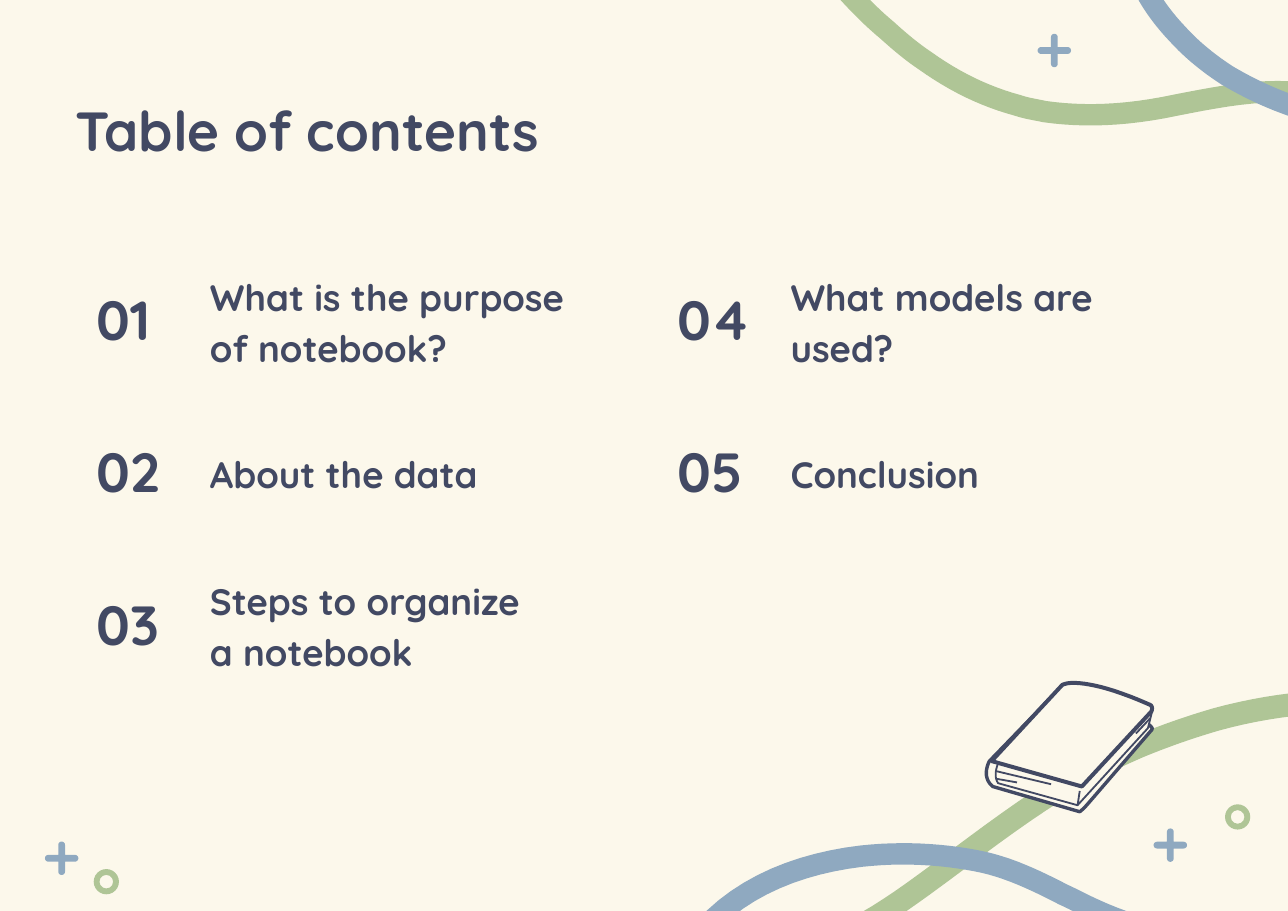
from math import cos, hypot, pi, sin, sqrt

from lxml.etree import SubElement
from pptx import Presentation
from pptx.dml.color import RGBColor
from pptx.enum.shapes import MSO_CONNECTOR, MSO_SHAPE
from pptx.enum.text import MSO_ANCHOR
from pptx.oxml.ns import qn
from pptx.util import Pt

CREAM, NAVY, GREEN, BLUE = "FCF8EB", "424963", "AFC596", "8FA9C0"
FONT = "Quicksand"
STEPS = 12

# Lower edge of each ribbon: a start point, then cubic segments.
RIBBONS = [
    (GREEN, 15, [
        (448, 618.5), (465, 631, 487.5, 632, 503.5, 631.5),
        (512, 630.7, 520.5, 629.3, 529, 627),
        (563.8, 617.8, 594, 594.7, 621.4, 574.6),
        (664.6, 542.2, 702, 514.1, 745.9, 495.4),
        (763.2, 488.2, 779.8, 482.4, 797, 477.4),
        (828.7, 468.7, 861.1, 465.1, 892.1, 465.8)]),
    (GREEN, 14, [
        (537.8, -13), (550.1, 1.4, 562.3, 14.4, 575.3, 25.2),
        (583.2, 32.4, 591.8, 39.6, 600.5, 45.4),
        (620.6, 59.8, 641.5, 69.8, 663.1, 75.6),
        (669.6, 77.8, 675.4, 78.5, 681.8, 79.9),
        (707.8, 83.5, 735.8, 82.8, 769.7, 75.6),
        (802.8, 69.1, 835.9, 62.6, 865.4, 70.6),
        (878.4, 74.2, 890.6, 80.6, 901.4, 90.7)]),
    (BLUE, 14, [
        (465.1, 612), (489.6, 584.6, 526.3, 571, 563.8, 566.6),
        (589, 563.8, 614.2, 565.2, 636.5, 569.5),
        (655.9, 573.1, 673.9, 581.8, 691.9, 591.1),
        (698.4, 594, 704.9, 597.6, 711.4, 600.5),
        (737.3, 612.7, 766.8, 619.9, 796.3, 621.4)]),
    (BLUE, 14, [
        (741.6, -5), (742.3, -2.9, 748.8, 10.8, 765.4, 28.1),
        (774.7, 38.2, 786.2, 47.5, 798.5, 55.4),
        (814.3, 64.8, 831.6, 72.7, 850.3, 78.5)]),
]

# Book layers from back to front: line width and outline.
BOOK_LAYERS = [
    (2.2, [(689, 453.6), (646.6, 497.5),
           (646.6, 497.5, 640.8, 507.6, 648.7, 514.1), (705.6, 530.6),
           (705.6, 530.6, 707, 529.9, 711.4, 524.9), (752.4, 477.4),
           (753.1, 476.6, 753.1, 475.9, 752.4, 475.2), (751, 473.8)]),
    (1.2, [(698.4, 450.7), (652.3, 499),
           (652.3, 499, 648.7, 506.9, 652.3, 511.9), (704.2, 526.3),
           (750.2, 475.9), (753.1, 464.4),
           (753.8, 463.7, 753.1, 462.2, 751.7, 462.2)]),
]
PAGE_EDGES = [(650.9, 504, 686.9, 512.6), (650.9, 509, 664.6, 511.4),
              (705.6, 517, 704.2, 526.3), (751.7, 469.4, 742.3, 479.5)]
BOOK_COVER = (2.6, [
    (701.3, 446.4), (696.2, 446.4, 694.1, 447.8, 694.1, 447.8),
    (648, 497.5), (707, 514.1), (752.4, 465.1),
    (753.1, 463.7, 753.1, 461.5, 751.7, 460.8),
    (724.3, 448.6, 709.2, 446.4, 701.3, 446.4)])

PLUSES = [(764.8, 552.4), (689, 33), (40.3, 561)]
RINGS = [(808.8, 534), (69.5, 576.3)]
CONTENTS = [
    ["What is the purpose of notebook?"], ["About the data"],
    ["Steps to organize", "a notebook"],
    ["What models are used?"], ["Conclusion"],
]


def colour(code):
    """Turn a hex string into a colour."""
    return RGBColor.from_string(code)


def trace(segments):
    """Turn points and cubic segments into a list of points."""
    points = []
    for segment in segments:
        if len(segment) == 2:
            points.append(segment)
            continue
        x0, y0 = points[-1]
        x1, y1, x2, y2, x3, y3 = segment
        for step in range(1, STEPS + 1):
            t = step / STEPS
            a, b, c, d = (1 - t) ** 3, 3 * t * (1 - t) ** 2, 3 * t * t * (1 - t), t ** 3
            points.append((a * x0 + b * x1 + c * x2 + d * x3,
                           a * y0 + b * y1 + c * y2 + d * y3))
    return points


def paint(shape, fill, line=None, width=0):
    """Set fill and line, and take the shadow away."""
    shape.shadow.inherit = False
    shape.fill.solid()
    shape.fill.fore_color.rgb = colour(fill)
    if line:
        shape.line.color.rgb = colour(line)
        shape.line.width = Pt(width)
    else:
        shape.line.fill.background()


def add_outline(shapes, points, fill, line=None, width=0):
    """Draw a closed outline."""
    corners = [(Pt(x), Pt(y)) for x, y in points]
    builder = shapes.build_freeform(*corners[0])
    builder.add_line_segments(corners[1:], close=True)
    paint(builder.convert_to_shape(), fill, line, width)


def add_ribbon(shapes, fill, width, segments):
    """Draw a band of even width above its lower edge."""
    edge = trace(segments)
    upper = []
    for index, (x, y) in enumerate(edge):
        before, after = edge[max(index - 1, 0)], edge[min(index + 1, len(edge) - 1)]
        dx, dy = after[0] - before[0], after[1] - before[1]
        scale = width / hypot(dx, dy)
        upper.append((x + dy * scale, y - dx * scale))
    add_outline(shapes, edge + upper[::-1], fill)


def add_plus(shapes, x, y, reach=10.9, half=2.2):
    """Draw a plus with round ends about a centre."""
    points = []
    for arm in range(4):
        turn = arm * pi / 2
        tip_x, tip_y = x + (reach - half) * cos(turn), y + (reach - half) * sin(turn)
        for step in range(STEPS + 1):
            angle = turn - pi / 2 + pi * step / STEPS
            points.append((tip_x + half * cos(angle), tip_y + half * sin(angle)))
        corner = turn + pi / 4
        points.append((x + half * sqrt(2) * cos(corner), y + half * sqrt(2) * sin(corner)))
    add_outline(shapes, points, BLUE)


def add_ring(shapes, x, y, size=16.5):
    """Draw a ring about a centre."""
    ring = shapes.add_shape(MSO_SHAPE.DONUT, Pt(x - size / 2), Pt(y - size / 2),
                            Pt(size), Pt(size))
    ring.adjustments[0] = 0.23
    paint(ring, GREEN)


def add_line(shapes, x1, y1, x2, y2):
    """Draw a thin straight line."""
    line = shapes.add_connector(MSO_CONNECTOR.STRAIGHT, Pt(x1), Pt(y1), Pt(x2), Pt(y2))
    line.line.color.rgb = colour(NAVY)
    line.line.width = Pt(1.2)
    SubElement(line._element.spPr, qn("a:effectLst"))


def add_book(shapes):
    """Draw the closed book as one group."""
    book = shapes.add_group_shape().shapes
    for width, segments in BOOK_LAYERS:
        add_outline(book, trace(segments), CREAM, NAVY, width)
    for edge in PAGE_EDGES:
        add_line(book, *edge)
    width, segments = BOOK_COVER
    add_outline(book, trace(segments), CREAM, NAVY, width)


def add_text(shapes, left, top, width, height, lines, size,
             anchor=MSO_ANCHOR.MIDDLE, spacing=1.0):
    """Write bold lines, one paragraph each."""
    box = shapes.add_textbox(Pt(left), Pt(top), Pt(width), Pt(height))
    frame = box.text_frame
    frame.word_wrap = True
    frame.vertical_anchor = anchor
    frame.margin_left = frame.margin_right = Pt(9)
    frame.margin_top = frame.margin_bottom = Pt(9)
    for index, line in enumerate(lines):
        para = frame.add_paragraph() if index else frame.paragraphs[0]
        para.line_spacing = spacing
        span = para.add_run()
        span.text = line
        span.font.name = FONT
        span.font.size = Pt(size)
        span.font.bold = True
        span.font.color.rgb = colour(NAVY)


def main():
    """Build the contents page."""
    deck = Presentation()
    deck.slide_width, deck.slide_height = Pt(841.68), Pt(595.44)
    page = deck.slides.add_slide(deck.slide_layouts[6])
    page.background.fill.solid()
    page.background.fill.fore_color.rgb = colour(CREAM)
    shapes = page.shapes
    for fill, width, segments in RIBBONS:
        add_ribbon(shapes, fill, width, segments)
    for centre in RINGS:
        add_ring(shapes, *centre)
    for centre in PLUSES:
        add_plus(shapes, *centre)
    add_text(shapes, 40.3, 54, 760.3, 64, ["Table of contents"], 36, MSO_ANCHOR.TOP)
    for index, lines in enumerate(CONTENTS):
        column, row = divmod(index, 3)
        left, middle = 54.3 + 379.4 * column, 208.4 + 99.4 * row
        add_text(shapes, left, middle - 16.2, 70, 32.4, [f"{index + 1:02}"], 36)
        add_text(shapes, left + 73.9, middle - 44.3, 278.6, 88.6, lines, 24, spacing=1.15)
    add_book(shapes)
    deck.save("out.pptx")


main()
